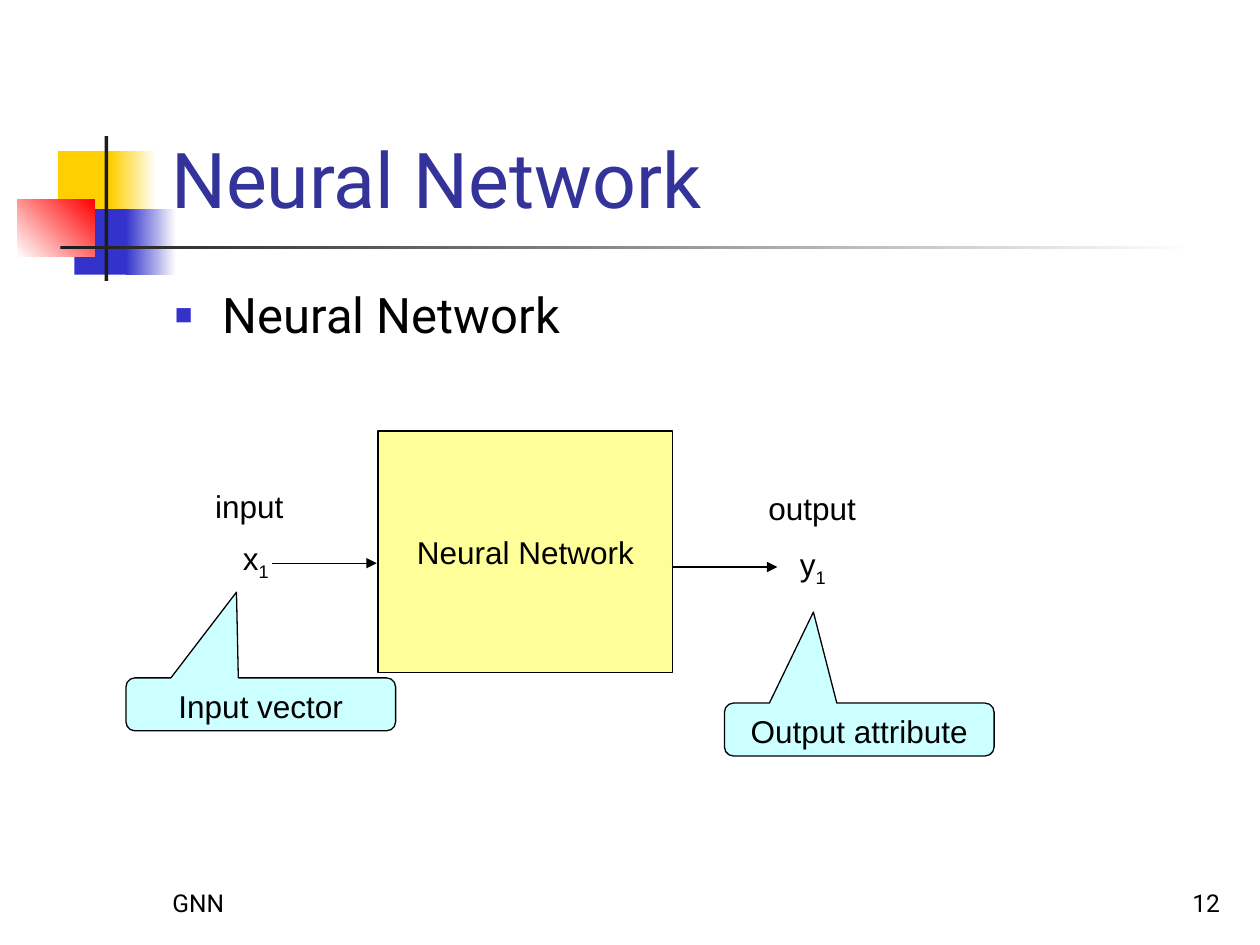
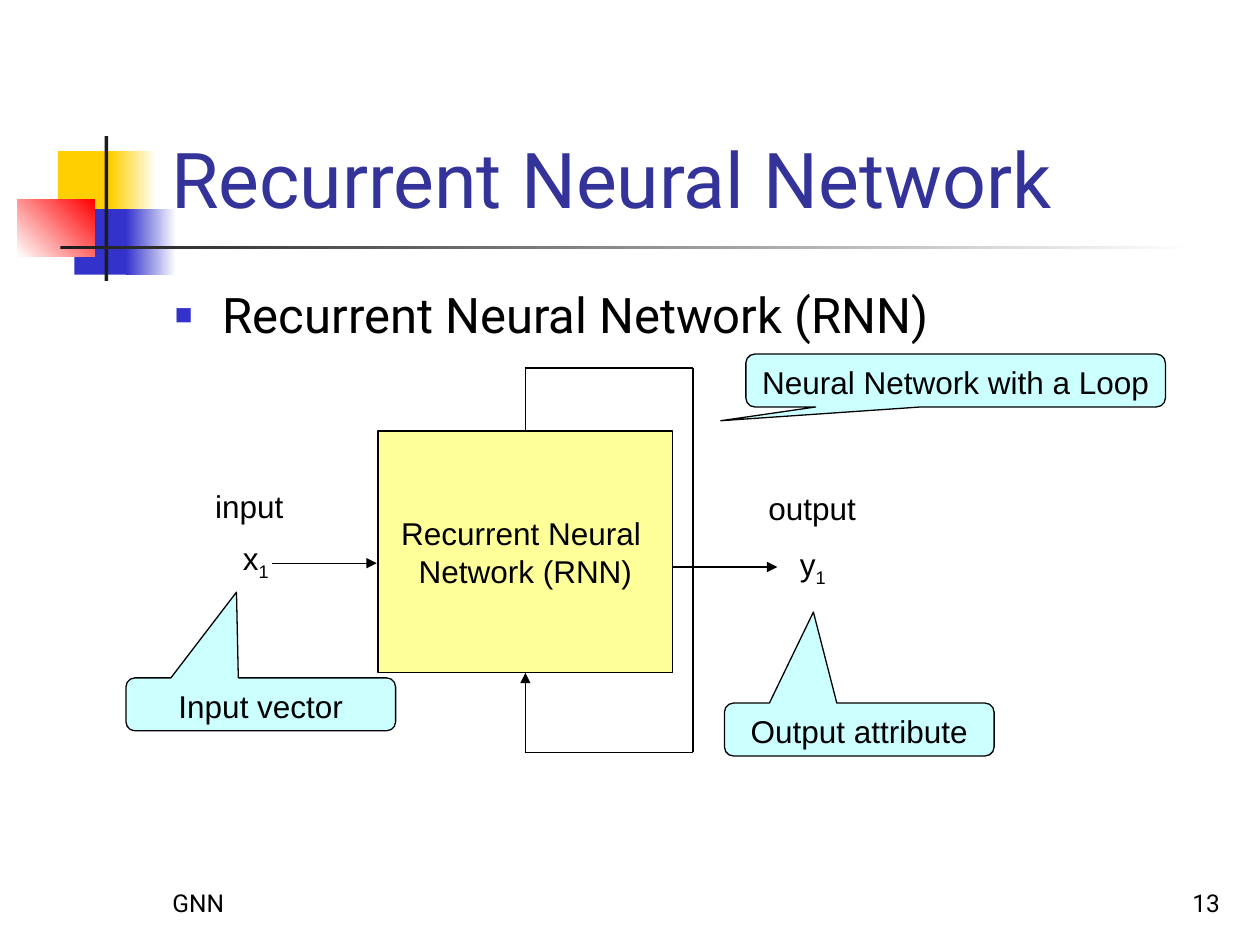
from dataclasses import dataclass
from typing import NamedTuple

from lxml.etree import SubElement
from pptx import Presentation
from pptx.dml.color import RGBColor as Rgb
from pptx.enum.shapes import MSO_CONNECTOR as Wire, MSO_SHAPE as Form
from pptx.enum.text import MSO_ANCHOR as Anchor, MSO_AUTO_SIZE as Fit, PP_ALIGN as Align
from pptx.oxml.ns import qn
from pptx.shapes.autoshape import Shape
from pptx.shapes.connector import Connector
from pptx.slide import Slide
from pptx.text.text import TextFrame
from pptx.util import Emu, Pt

PX = 9144


@dataclass(frozen=True)
class Theme:
    black: str = "000000"
    white: str = "FFFFFF"
    ink: str = "1C1C1C"
    gold: str = "FFCF01"
    blue: str = "3333CC"
    red: str = "FF0000"
    title: str = "333399"
    box: str = "FFFF99"
    note: str = "CCFFFF"
    head_font: str = "Roboto"
    font: str = "Arial"
    title_size: int = 44
    body_size: int = 28
    size: int = 18
    foot_size: int = 14
    line: float = 0.75


THEME = Theme()


class Area(NamedTuple):
    x: int
    y: int
    w: int
    h: int


class Style(NamedTuple):
    size: int = THEME.size
    font: str = THEME.font
    color: str = THEME.black


class Band(NamedTuple):
    area: Area
    start: str
    end: str = ""
    angle: int = 0


class Label(NamedTuple):
    area: Area
    text: str
    sub: str = ""


class Note(NamedTuple):
    area: Area
    text: str
    tip: tuple[float, float]


class Page(NamedTuple):
    title: str
    point: str
    width: int
    box: tuple[str, ...]
    number: str
    loop: bool = False


TITLE = Style(THEME.title_size, THEME.head_font, THEME.title)
BODY = Style(THEME.body_size, THEME.head_font)
FOOT = Style(THEME.foot_size, THEME.head_font)
PLAIN = Style()

BANDS = (
    Band(Area(46, 120, 48, 52), THEME.gold),
    Band(Area(88, 120, 36, 52), THEME.gold, THEME.white),
    Band(Area(59, 166, 46, 52), THEME.blue),
    Band(Area(100, 166, 40, 52), THEME.blue, THEME.white),
    Band(Area(14, 158, 61, 46), THEME.white, THEME.red, 45),
    Band(Area(83, 108, 3, 115), THEME.ink),
    Band(Area(48, 195, 900, 3), THEME.ink, THEME.white),
)
BOX = Area(300, 342, 234, 192)
LABELS = (
    Label(Area(161, 382, 74, 40), "input"),
    Label(Area(600, 383, 90, 40), "output"),
    Label(Area(183, 423, 42, 40), "x", "1"),
    Label(Area(625, 428, 42, 40), "y", "1"),
)
ARROWS = (
    ((216, 447), (299, 447)),
    ((533, 450), (617, 450)),
)
NOTES = (
    Note(Area(100, 538, 214, 42), "Input vector", (-0.09, -2.12)),
    Note(Area(575, 558, 214, 42), "Output attribute", (-0.17, -2.22)),
)
LOOP_NOTE = Note(Area(592, 281, 333, 42), "Neural Network with a Loop", (-0.56, 0.76))
LOOP_TOP, LOOP_LOW, LOOP_RIGHT = 292, 597, 550

PAGES = (
    Page("Neural Network", "Neural Network", 521, ("Neural Network",), "12"),
    Page(
        "Recurrent Neural Network",
        "Recurrent Neural Network (RNN)",
        737,
        ("Recurrent Neural ", "Network (RNN)"),
        "13",
        True,
    ),
)


def scale(*sizes: int) -> list[Emu]:
    return [Emu(size * PX) for size in sizes]


def write(
    frame: TextFrame, lines: tuple[str, ...], style: Style, align: Align = Align.LEFT, sub: str = ""
) -> None:
    para = frame.paragraphs[0]
    para.alignment = align
    for spot, text in enumerate((*lines, sub) if sub else lines):
        if 0 < spot < len(lines):
            para.add_line_break()
        run = para.add_run()
        run.text = text
        run.font.size = Pt(style.size)
        run.font.name = style.font
        run.font.color.rgb = Rgb.from_string(style.color)
        if spot == len(lines):
            run._r.get_or_add_rPr().set("baseline", "-25000")


def add_text(
    slide: Slide, area: Area, text: str, style: Style,
    anchor: Anchor = Anchor.TOP, align: Align = Align.LEFT,
) -> TextFrame:
    frame = slide.shapes.add_textbox(*scale(*area)).text_frame
    frame.word_wrap = True
    frame.vertical_anchor = anchor
    write(frame, (text,), style, align)
    return frame


def add_point(slide: Slide, area: Area, text: str) -> None:
    para = add_text(slide, area, text, BODY).paragraphs[0]
    props = para._p.get_or_add_pPr()
    indent = 38 * PX
    props.set("marL", str(indent))
    props.set("indent", str(-indent))
    color = SubElement(props, qn("a:buClr"))
    SubElement(color, qn("a:srgbClr"), val=THEME.blue)
    SubElement(props, qn("a:buSzPct"), val="60000")
    SubElement(props, qn("a:buFont"), typeface=THEME.font)
    SubElement(props, qn("a:buChar"), char="■")


def add_form(slide: Slide, form: Form, area: Area, fill: str, line: bool = True) -> Shape:
    shape = slide.shapes.add_shape(form, *scale(*area))
    shape.shadow.inherit = False
    shape.fill.solid()
    shape.fill.fore_color.rgb = Rgb.from_string(fill)
    if line:
        shape.line.color.rgb = Rgb.from_string(THEME.black)
        shape.line.width = Pt(THEME.line)
    else:
        shape.line.fill.background()
    return shape


def add_band(slide: Slide, band: Band) -> None:
    shape = add_form(slide, Form.RECTANGLE, band.area, band.start, line=False)
    if band.end:
        shape.fill.gradient()
        shape.fill.gradient_angle = band.angle
        for stop, color in zip(shape.fill.gradient_stops, (band.start, band.end)):
            stop.color.rgb = Rgb.from_string(color)


def add_box(slide: Slide, lines: tuple[str, ...]) -> Shape:
    box = add_form(slide, Form.RECTANGLE, BOX, THEME.box)
    box.text_frame.word_wrap = False
    box.text_frame.vertical_anchor = Anchor.MIDDLE
    write(box.text_frame, lines, PLAIN, Align.CENTER)
    return box


def add_label(slide: Slide, label: Label) -> None:
    frame = slide.shapes.add_textbox(*scale(*label.area)).text_frame
    frame.word_wrap = False
    frame.auto_size = Fit.SHAPE_TO_FIT_TEXT
    write(frame, (label.text,), PLAIN, sub=label.sub)


def add_note(slide: Slide, note: Note) -> None:
    shape = add_form(slide, Form.ROUNDED_RECTANGULAR_CALLOUT, note.area, THEME.note)
    for spot, value in enumerate((*note.tip, 0.17)):
        shape.adjustments[spot] = value
    shape.text_frame.word_wrap = True
    shape.text_frame.vertical_anchor = Anchor.TOP
    write(shape.text_frame, (note.text,), PLAIN, Align.CENTER)


def add_wire(
    slide: Slide, start: tuple[int, int], end: tuple[int, int], arrow: bool = False
) -> Connector:
    wire = slide.shapes.add_connector(Wire.STRAIGHT, *scale(*start, *end))
    wire.line.color.rgb = Rgb.from_string(THEME.black)
    wire.line.width = Pt(THEME.line)
    if arrow:
        SubElement(wire.line._get_or_add_ln(), qn("a:tailEnd"), type="triangle")
    SubElement(wire._element.spPr, qn("a:effectLst"))
    return wire


def add_loop(slide: Slide, box: Shape) -> None:
    mid = BOX.x + BOX.w // 2
    route = (
        (mid, BOX.y),
        (mid, LOOP_TOP),
        (LOOP_RIGHT, LOOP_TOP),
        (LOOP_RIGHT, LOOP_LOW),
        (mid, LOOP_LOW),
        (mid, BOX.y + BOX.h),
    )
    last = len(route) - 2
    wires = [
        add_wire(slide, start, end, spot == last)
        for spot, (start, end) in enumerate(zip(route, route[1:]))
    ]
    wires[0].begin_connect(box, 0)
    wires[-1].end_connect(box, 2)


def add_frame(slide: Slide, page: Page) -> None:
    for band in BANDS:
        add_band(slide, band)
    add_text(slide, Area(127, 683, 208, 50), "GNN", FOOT, Anchor.BOTTOM)
    add_text(slide, Area(770, 683, 208, 50), page.number, FOOT, Anchor.BOTTOM, Align.RIGHT)
    add_text(slide, Area(126, 23, 852, 160), page.title, TITLE, Anchor.BOTTOM)
    add_point(slide, Area(129, 221, page.width, 450), page.point)


def add_page(slide: Slide, page: Page) -> None:
    add_frame(slide, page)
    box = add_box(slide, page.box)
    for start, end in ARROWS:
        add_wire(slide, start, end, arrow=True)
    for label in LABELS:
        add_label(slide, label)
    if page.loop:
        add_loop(slide, box)
    for note in (*NOTES, LOOP_NOTE) if page.loop else NOTES:
        add_note(slide, note)


def main() -> None:
    deck = Presentation()
    deck.slide_width, deck.slide_height = scale(1000, 750)
    for page in PAGES:
        add_page(deck.slides.add_slide(deck.slide_layouts[6]), page)
    deck.save("out.pptx")


if __name__ == "__main__":
    main()
